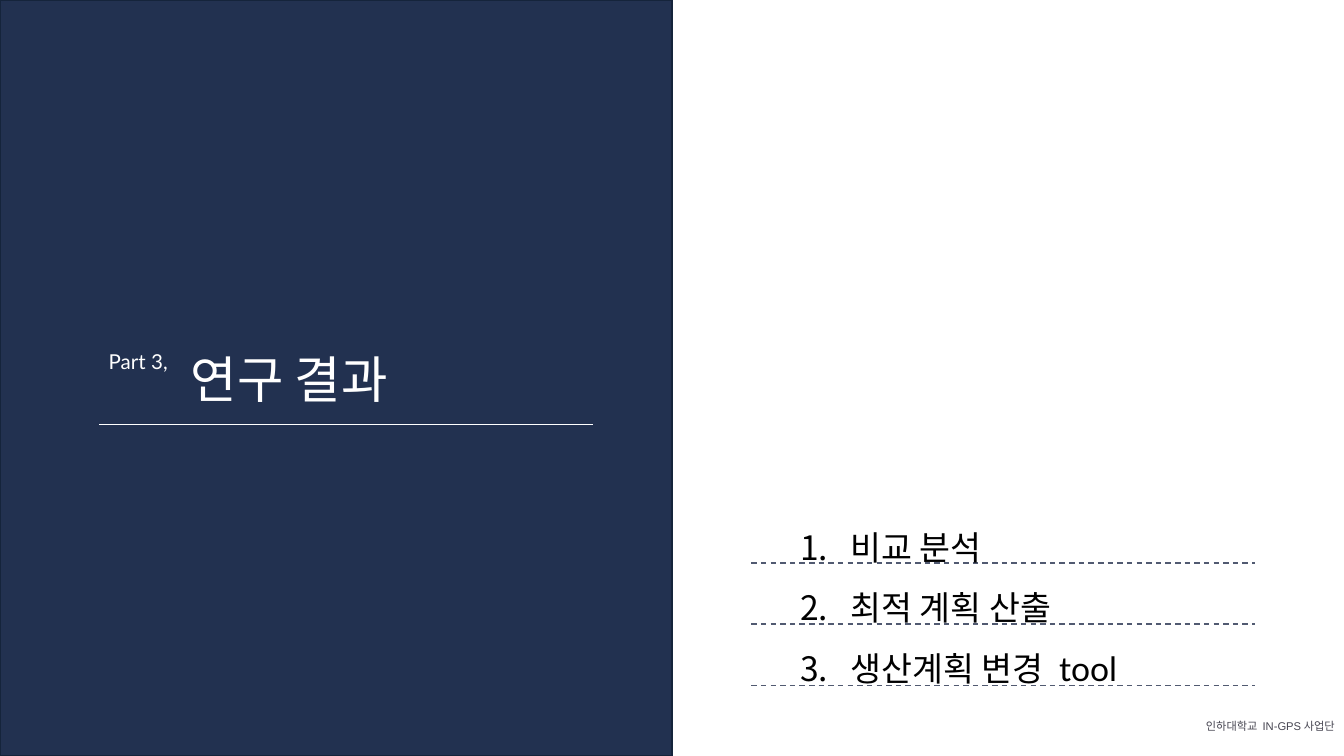
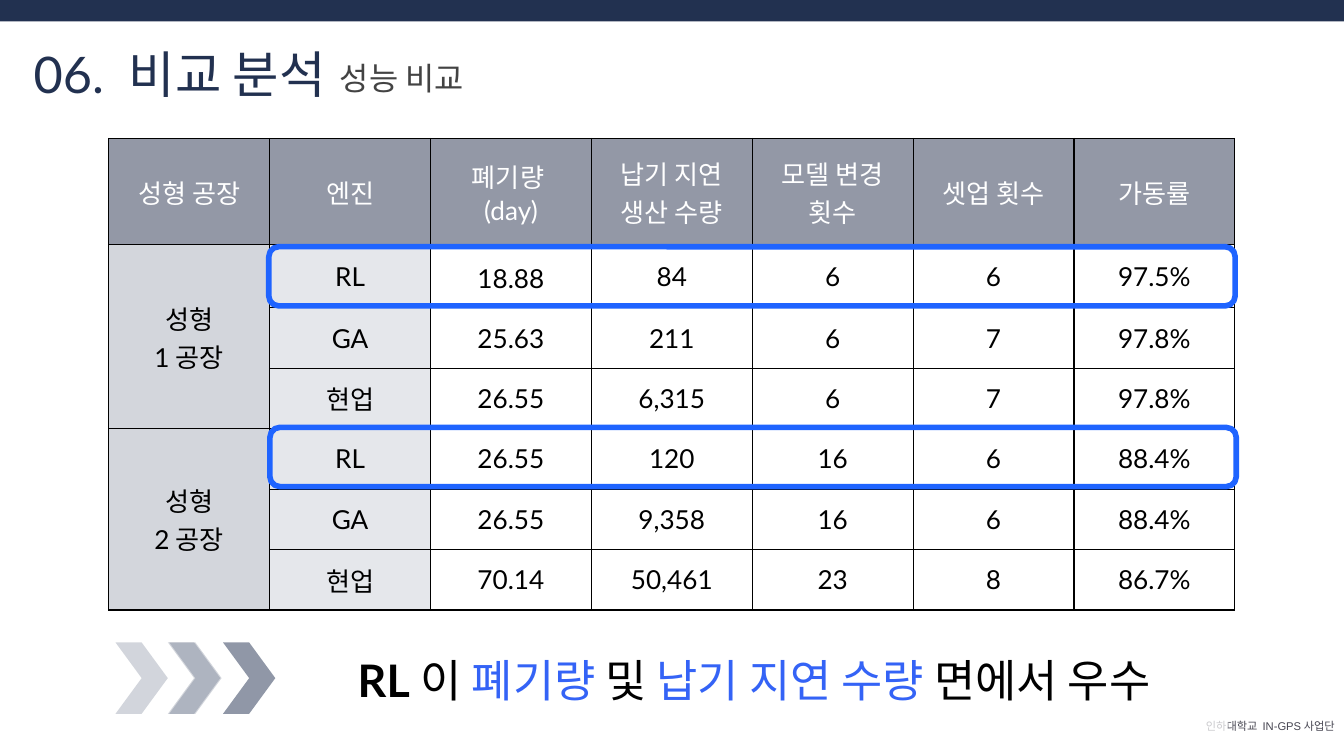
from lxml.etree import SubElement
from pptx import Presentation
from pptx.dml.color import RGBColor
from pptx.enum.dml import MSO_LINE
from pptx.enum.shapes import MSO_CONNECTOR, MSO_SHAPE
from pptx.enum.text import MSO_ANCHOR, PP_ALIGN
from pptx.oxml.ns import qn
from pptx.util import Pt

NAVY = RGBColor(0x22, 0x31, 0x50)
NAVY_EDGE = RGBColor(0x15, 0x24, 0x3B)
SLATE = RGBColor(0x51, 0x5A, 0x71)
GRAY = RGBColor(0x43, 0x43, 0x43)
FOOTER_GRAY = RGBColor(0x47, 0x46, 0x52)
WHITE = RGBColor(0xFF, 0xFF, 0xFF)
BLACK = RGBColor(0, 0, 0)
BLUE = RGBColor(0x34, 0x63, 0xF6)
FRAME_BLUE = RGBColor(0x1F, 0x64, 0xFF)
HEADER_FILL = RGBColor(0x93, 0x98, 0xA6)
PLANT_FILL = RGBColor(0xD3, 0xD6, 0xDC)
ENGINE_FILL = RGBColor(0xE5, 0xE7, 0xEB)

FONT = "Lato"
WIDTH, HEIGHT = 720, 405
TITLE_SIZE = 27
HEADER_HEIGHT, ROW_HEIGHT, COLUMN_WIDTH = 56.9, 32.4, 86.2
PLANT_ROWS = 3

HEADERS = ["성형 공장", "엔진", "폐기량 \n(day)", "납기 지연 생산 수량",
           "모델 변경 횟수", "셋업 횟수", "가동률"]
RESULTS = [
    ["성형\v1공장", "RL", "18.88", "84", "6", "6", "97.5%"],
    ["", "GA", "25.63", "211", "6", "7", "97.8%"],
    ["", "현업", "26.55", "6,315", "6", "7", "97.8%"],
    ["성형\v2공장", "RL", "26.55", "120", "16", "6", "88.4%"],
    ["", "GA", "26.55", "9,358", "16", "6", "88.4%"],
    ["", "현업", "70.14", "50,461", "23", "8", "86.7%"],
]


def add_number(paragraph):
    properties = paragraph._p.get_or_add_pPr()
    properties.set("marL", str(Pt(36)))
    properties.set("indent", str(Pt(-27)))
    color = SubElement(properties, qn("a:buClr"))
    SubElement(color, qn("a:srgbClr"), val=str(BLACK))
    SubElement(properties, qn("a:buAutoNum"), type="arabicPeriod")


def write_text(frame, text, size=14, color=BLACK, font=FONT, align=None,
               line_spacing=None, numbered=False):
    """Text is a string, or a list of (text, color, bold) runs."""
    lines = text.split("\n") if isinstance(text, str) else [text]
    for index, line in enumerate(lines):
        paragraph = frame.add_paragraph() if index else frame.paragraphs[0]
        if numbered:
            add_number(paragraph)
        paragraph.alignment = align
        paragraph.line_spacing = line_spacing
        runs = [(line, color, False)] if isinstance(line, str) else line
        for words, run_color, bold in runs:
            for part_index, part in enumerate(words.split("\v")):
                if part_index:
                    paragraph.add_line_break()
                run = paragraph.add_run()
                run.text = part
                run.font.name = font
                run.font.size = Pt(size)
                run.font.bold = bold
                run.font.color.rgb = run_color


def set_insets(target, horizontal, vertical):
    target.margin_left = target.margin_right = Pt(horizontal)
    target.margin_top = target.margin_bottom = Pt(vertical)


def add_label(slide, left, top, width, height, text, insets=(5, 2.9), **style):
    box = slide.shapes.add_textbox(Pt(left), Pt(top), Pt(width), Pt(height))
    box.text_frame.word_wrap = True
    set_insets(box.text_frame, *insets)
    write_text(box.text_frame, text, **style)


def add_block(slide, kind, left, top, width, height, fill=None, alpha=None,
              line=None, line_width=1, corner=None):
    shape = slide.shapes.add_shape(kind, Pt(left), Pt(top), Pt(width), Pt(height))
    shape.shadow.inherit = False
    if corner is not None:
        shape.adjustments[0] = corner
    if fill is None:
        shape.fill.background()
    else:
        shape.fill.solid()
        shape.fill.fore_color.rgb = fill
    if alpha is not None:
        color = shape._element.spPr.find(qn("a:solidFill"))[0]
        SubElement(color, qn("a:alpha"), val=str(alpha * 1000))
    if line is None:
        shape.line.fill.background()
    else:
        shape.line.color.rgb = line
        shape.line.width = Pt(line_width)
    return shape


def add_rule(slide, left, right, top, color, dash=None):
    rule = slide.shapes.add_connector(
        MSO_CONNECTOR.STRAIGHT, Pt(left), Pt(top), Pt(right), Pt(top))
    rule.line.color.rgb = color
    rule.line.width = Pt(0.75)
    if dash:
        rule.line.dash_style = dash
    SubElement(rule._element.spPr, qn("a:effectLst"))


def add_borders(cell):
    properties = cell._tc.get_or_add_tcPr()
    for side in ("lnL", "lnR", "lnT", "lnB"):
        border = SubElement(properties, qn(f"a:{side}"), w=str(Pt(0.75)))
        fill = SubElement(border, qn("a:solidFill"))
        SubElement(fill, qn("a:srgbClr"), val=str(BLACK))


def fill_cell(cell, text, fill, color, line_spacing=None, inset=5):
    add_borders(cell)
    if fill is None:
        cell.fill.background()
    else:
        cell.fill.solid()
        cell.fill.fore_color.rgb = fill
    cell.vertical_anchor = MSO_ANCHOR.MIDDLE
    set_insets(cell, inset, inset)
    if text:
        write_text(cell.text_frame, text, color=color, align=PP_ALIGN.CENTER,
                   line_spacing=line_spacing)


def add_results_table(slide, left, top):
    row_count, column_count = len(RESULTS) + 1, len(HEADERS)
    table = slide.shapes.add_table(
        row_count, column_count, Pt(left), Pt(top), Pt(COLUMN_WIDTH * column_count),
        Pt(HEADER_HEIGHT + ROW_HEIGHT * len(RESULTS))).table
    table.first_row = table.horz_banding = False
    for column in table.columns:
        column.width = Pt(COLUMN_WIDTH)
    for index, row in enumerate(table.rows):
        row.height = Pt(ROW_HEIGHT if index else HEADER_HEIGHT)
    for column, text in enumerate(HEADERS):
        fill_cell(table.cell(0, column), text, HEADER_FILL, WHITE)
    column_fills = {0: PLANT_FILL, 1: ENGINE_FILL}
    for row, values in enumerate(RESULTS, 1):
        for column, text in enumerate(values):
            spacing = {"line_spacing": 1.15, "inset": 7.2} if (row, column) == (1, 2) else {}
            fill_cell(table.cell(row, column), text, column_fills.get(column), BLACK, **spacing)
    for row in range(1, row_count, PLANT_ROWS):
        table.cell(row, 0).merge(table.cell(row + PLANT_ROWS - 1, 0))


def add_slide(presentation):
    slide = presentation.slides.add_slide(presentation.slide_layouts[6])
    add_label(slide, 639.4, 382.3, 80.6, 20.2, "인하대학교 IN-GPS사업단",
              size=6, color=FOOTER_GRAY, font="Arial", align=PP_ALIGN.RIGHT)
    return slide


def build_section_slide(presentation):
    slide = add_slide(presentation)
    add_block(slide, MSO_SHAPE.RECTANGLE, 0, 0, WIDTH / 2, HEIGHT, NAVY, line=NAVY_EDGE)
    add_label(slide, 97.2, 183.6, 195.8, 38.2, "연구 결과", size=TITLE_SIZE, color=WHITE)
    add_label(slide, 53.3, 184.3, 57.6, 18.7, "Part 3,", size=11, color=WHITE)
    add_rule(slide, 53.3, 317.5, 227.5, WHITE)
    for index in range(3):
        add_rule(slide, 402.5, 672.5, 301.7 + 32.7 * index, SLATE, MSO_LINE.DASH)
    add_label(slide, 412.6, 264.2, 225.4, 133.9, "비교 분석\n최적 계획 산출\n생산계획 변경 tool",
              insets=(7.2, 7.2), size=18, line_spacing=1.5, numbered=True)


def build_comparison_slide(presentation):
    slide = add_slide(presentation)
    add_label(slide, 13, 20.2, 230.4, 38.2, "06. 비교 분석", size=TITLE_SIZE, color=NAVY)
    add_label(slide, 177.1, 26.6, 224.6, 31.7, "성능 비교", insets=(5, 5), size=17, color=GRAY)
    add_block(slide, MSO_SHAPE.RECTANGLE, 0, 0, WIDTH, 11.5, NAVY)
    add_results_table(slide, 58.3, 74.2)
    for left, top in ((144, 132.2), (144.6, 229)):
        add_block(slide, MSO_SHAPE.ROUNDED_RECTANGLE, left, top, 517.7, 31.7,
                  line=FRAME_BLUE, line_width=3, corner=0.167)
    conclusion = add_block(slide, MSO_SHAPE.ROUNDED_RECTANGLE, 149.8, 329, 508.3, 69.8,
                           WHITE, alpha=72, corner=0.167)
    frame = conclusion.text_frame
    frame.word_wrap = True
    frame.vertical_anchor = MSO_ANCHOR.MIDDLE
    set_insets(frame, 5, 5)
    write_text(frame, [("RL", BLACK, True), ("이 ", BLACK, False), ("폐기량 ", BLUE, False),
                       ("및", BLACK, False), (" 납기 지연 수량 ", BLUE, False),
                       ("면에서 우수", BLACK, False)], size=24, align=PP_ALIGN.CENTER)
    for left, alpha in ((119.5, 50), (90.7, 20), (90, 20), (61.9, 20)):
        add_block(slide, MSO_SHAPE.CHEVRON, left, 344.2, 28, 38.2, NAVY, alpha, corner=0.5)


def main():
    presentation = Presentation()
    presentation.slide_width, presentation.slide_height = Pt(WIDTH), Pt(HEIGHT)
    build_section_slide(presentation)
    build_comparison_slide(presentation)
    presentation.save("out.pptx")


if __name__ == "__main__":
    main()
